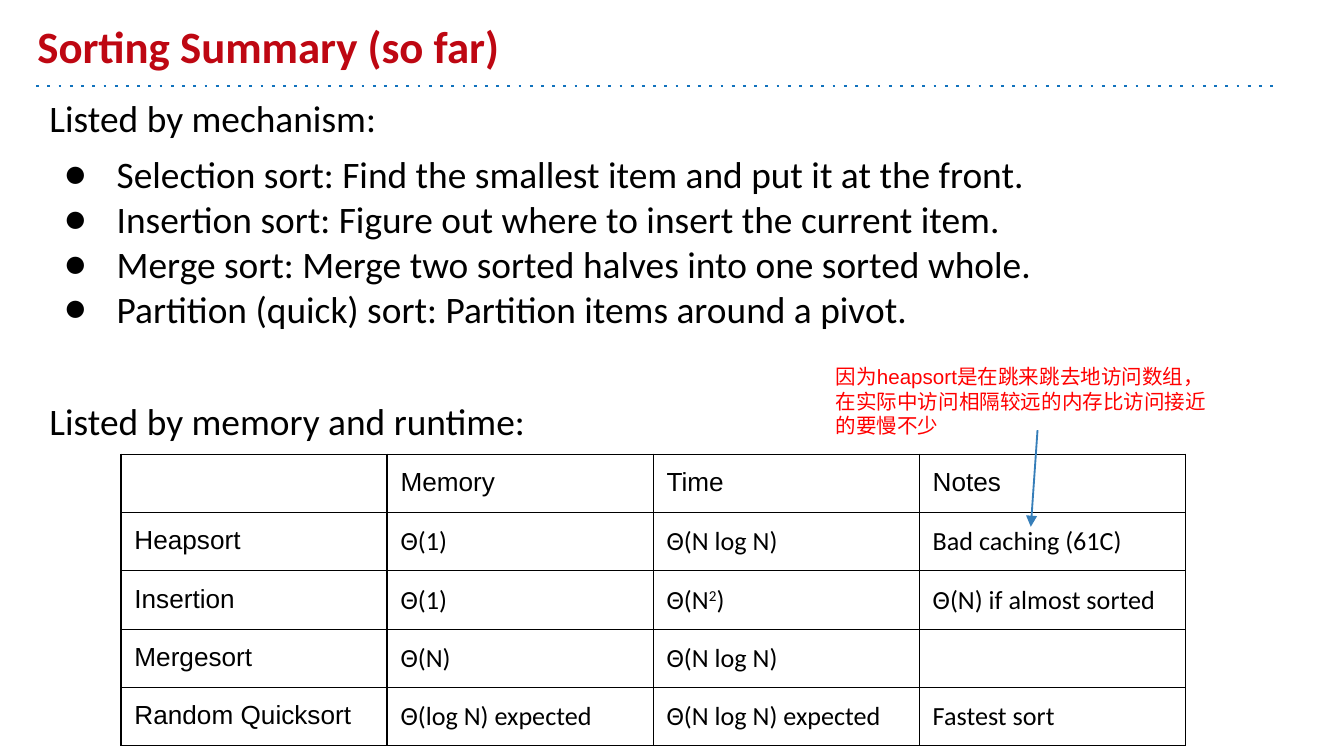
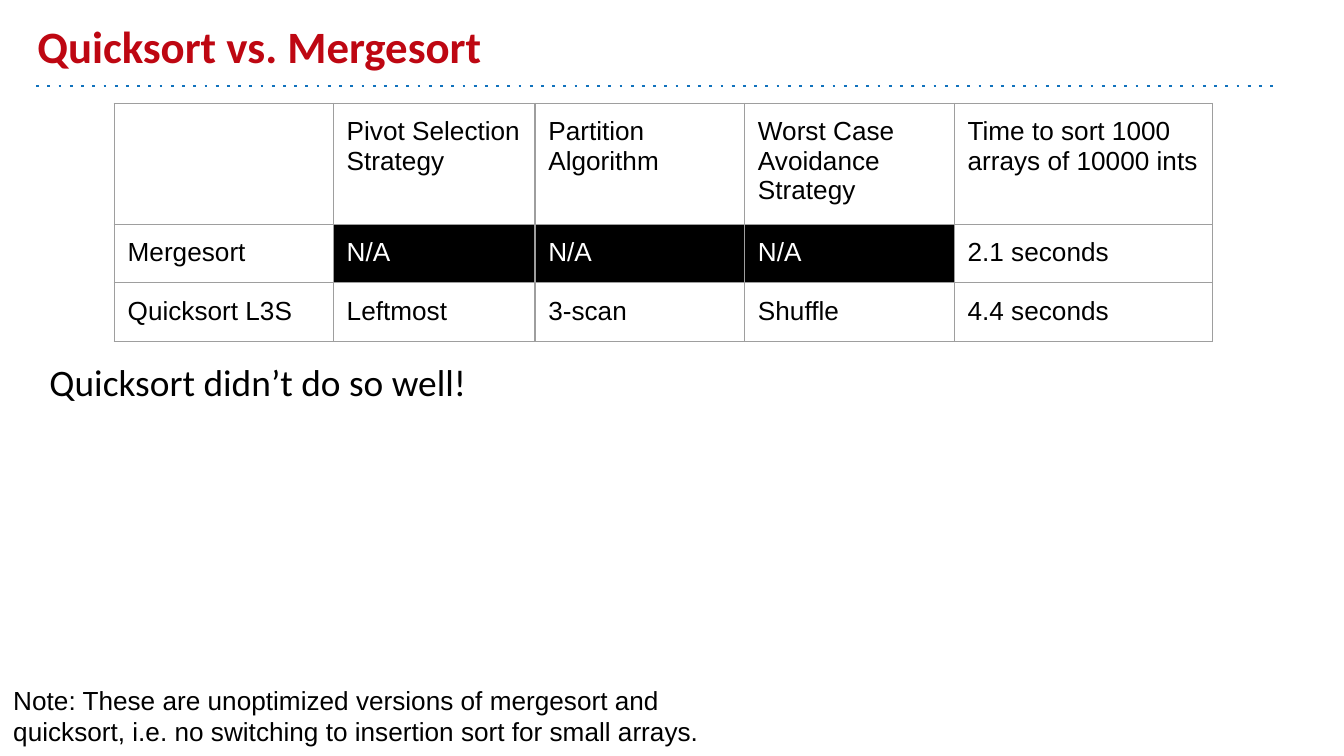
from dataclasses import dataclass

from lxml.etree import SubElement
from pptx import Presentation
from pptx.dml.color import RGBColor
from pptx.enum.shapes import MSO_CONNECTOR
from pptx.enum.text import MSO_ANCHOR, MSO_AUTO_SIZE
from pptx.oxml.ns import qn
from pptx.util import Inches, Pt


@dataclass(frozen=True)
class Theme:
    heading_font: str = "Calibri"
    plain_font: str = "Arial"
    title_color: str = "BE0712"
    rule_color: str = "1072BD"
    arrow_color: str = "367EB9"
    ink: str = "000000"
    paper: str = "FFFFFF"
    remark_color: str = "FF0000"
    grid_color: str = "9E9E9E"
    title_size: int = 24
    body_size: int = 20
    small_size: int = 14
    remark_size: int = 11
    inset: float = 0.1
    row_height: float = 0.42


THEME = Theme()


def write_text(paragraph, text, font=THEME.heading_font, size=THEME.body_size,
               color=THEME.ink, bold=False, before=0, bullet=None):
    paragraph.space_before = Pt(before)
    if bullet:
        properties = paragraph._p.get_or_add_pPr()
        properties.set("marL", str(Inches(0.5)))
        properties.set("indent", str(Inches(-0.39)))
        bullet_color = SubElement(properties, qn("a:buClr"))
        SubElement(bullet_color, qn("a:srgbClr"), val=color)
        SubElement(properties, qn("a:buFont"), typeface=font)
        SubElement(properties, qn("a:buChar"), char=bullet)
    for index, part in enumerate(text.split("^") if text else []):
        run = paragraph.add_run()
        run.text = part
        run.font.name = font
        run.font.size = Pt(size)
        run.font.bold = bold
        run.font.color.rgb = RGBColor.from_string(color)
        if index % 2:
            run._r.get_or_add_rPr().set("baseline", "30000")
    ending = SubElement(paragraph._p, qn("a:endParaRPr"), sz=str(size * 100))
    SubElement(ending, qn("a:latin"), typeface=font)


def write_lines(frame, lines):
    for index, (text, style) in enumerate(lines):
        paragraph = frame.add_paragraph() if index else frame.paragraphs[0]
        write_text(paragraph, text, **style)


def add_text(slide, left, top, width, height, lines,
             vertical_inset=THEME.inset, anchor=MSO_ANCHOR.TOP):
    box = slide.shapes.add_textbox(Inches(left), Inches(top), Inches(width), Inches(height))
    frame = box.text_frame
    frame.word_wrap = True
    frame.vertical_anchor = anchor
    frame.margin_left = frame.margin_right = Inches(THEME.inset)
    frame.margin_top = frame.margin_bottom = Inches(vertical_inset)
    write_lines(frame, lines)
    return frame


def add_line(slide, start, end, color, width, dash=None, arrow=False):
    line = slide.shapes.add_connector(
        MSO_CONNECTOR.STRAIGHT, *(Inches(value) for value in (*start, *end)))
    line.line.color.rgb = RGBColor.from_string(color)
    line.line.width = Pt(width)
    outline = line.line._get_or_add_ln()
    if dash:
        SubElement(outline, qn("a:prstDash"), val=dash)
    if arrow:
        SubElement(outline, qn("a:tailEnd"), type="triangle")
    SubElement(line._element.spPr, qn("a:effectLst"))


def add_borders(cell, color):
    properties = cell._tc.get_or_add_tcPr()
    for side in ("lnL", "lnR", "lnT", "lnB"):
        border = SubElement(properties, qn(f"a:{side}"), w=str(Pt(0.75)))
        fill = SubElement(border, qn("a:solidFill"))
        SubElement(fill, qn("a:srgbClr"), val=color)


def add_table(slide, left, top, widths, rows, border, value_font):
    table = slide.shapes.add_table(
        len(rows), len(widths), Inches(left), Inches(top),
        Inches(sum(widths)), Inches(THEME.row_height * len(rows))).table
    table.first_row = table.horz_banding = False
    for column, width in zip(table.columns, widths):
        column.width = Inches(width)
    for row_index, (row, values) in enumerate(zip(table.rows, rows)):
        row.height = Inches(THEME.row_height)
        for column_index, value in enumerate(values):
            cell = row.cells[column_index]
            cell.margin_left = cell.margin_right = Inches(THEME.inset)
            cell.margin_top = cell.margin_bottom = Inches(THEME.inset)
            add_borders(cell, border)
            inapplicable = value == "N/A"
            if inapplicable:
                cell.fill.solid()
                cell.fill.fore_color.rgb = RGBColor.from_string(THEME.ink)
            else:
                cell.fill.background()
            style = dict(
                font=value_font if row_index and column_index else THEME.plain_font,
                size=THEME.small_size,
                color=THEME.paper if inapplicable else THEME.ink)
            write_lines(cell.text_frame, [(line, style) for line in value.split("\n")])


def add_titled_slide(deck, title):
    slide = deck.slides.add_slide(deck.slide_layouts[6])
    add_line(slide, (0.27, 0.64), (9.5, 0.64), THEME.rule_color, 1.5, dash="dot")
    heading = dict(size=THEME.title_size, color=THEME.title_color, bold=True)
    add_text(slide, 0.18, 0.1, 9, 0.54, [(title, heading)], anchor=MSO_ANCHOR.BOTTOM)
    return slide


def build_summary(deck):
    slide = add_titled_slide(deck, "Sorting Summary (so far)")
    mechanisms = [
        "Selection sort: Find the smallest item and put it at the front.",
        "Insertion sort: Figure out where to insert the current item.",
        "Merge sort: Merge two sorted halves into one sorted whole.",
        "Partition (quick) sort: Partition items around a pivot.",
    ]
    add_text(slide, 0.27, 0.61, 9.23, 4.54, [
        ("Listed by mechanism:", dict(before=6)),
        *((mechanism, dict(bullet="●", before=0 if index else 6))
          for index, mechanism in enumerate(mechanisms)),
        ("Listed by memory and runtime:", dict(before=36)),
    ])
    add_table(slide, 0.9, 3.38, [1.98] * 4, [
        ("", "Memory", "Time", "Notes"),
        ("Heapsort", "Θ(1)", "Θ(N log N)", "Bad caching (61C)"),
        ("Insertion", "Θ(1)", "Θ(N^2^)", "Θ(N) if almost sorted"),
        ("Mergesort", "Θ(N)", "Θ(N log N)", ""),
        ("Random Quicksort", "Θ(log N) expected", "Θ(N log N) expected", "Fastest sort"),
    ], THEME.ink, THEME.heading_font)
    remark_style = dict(font=THEME.plain_font, size=THEME.remark_size, color=THEME.remark_color)
    remark = add_text(slide, 6.12, 2.66, 3.03, 0.66, [
        ("因为heapsort是在跳来跳去地访问数组，在实际中访问相隔较远的内存比访问接近的要慢不少",
         remark_style),
    ], vertical_inset=0.05)
    remark.auto_size = MSO_AUTO_SIZE.SHAPE_TO_FIT_TEXT
    add_line(slide, (7.72, 3.2), (7.67, 3.92), THEME.arrow_color, 1, arrow=True)


def build_comparison(deck):
    slide = add_titled_slide(deck, "Quicksort vs. Mergesort")
    add_text(slide, 0.27, 2.57, 9.23, 2.59, [
        ("Quicksort didn’t do so well!", dict(before=6)),
    ])
    add_table(slide, 0.85, 0.77, [1.63, 1.5, 1.56, 1.56, 1.92], [
        ("", "Pivot Selection Strategy", "Partition\nAlgorithm",
         "Worst Case Avoidance Strategy", "Time to sort 1000 arrays of 10000 ints"),
        ("Mergesort", "N/A", "N/A", "N/A", "2.1 seconds"),
        ("Quicksort L3S", "Leftmost", "3-scan", "Shuffle", "4.4 seconds"),
    ], THEME.grid_color, THEME.plain_font)
    add_text(slide, 0, 4.99, 5.45, 0.64, [
        ("Note: These are unoptimized versions of mergesort and quicksort, "
         "i.e. no switching to insertion sort for small arrays.",
         dict(font=THEME.plain_font, size=THEME.small_size)),
    ])


def main():
    deck = Presentation()
    deck.slide_width = Inches(10)
    deck.slide_height = deck.slide_width * 9 // 16
    build_summary(deck)
    build_comparison(deck)
    deck.save("out.pptx")


if __name__ == "__main__":
    main()
